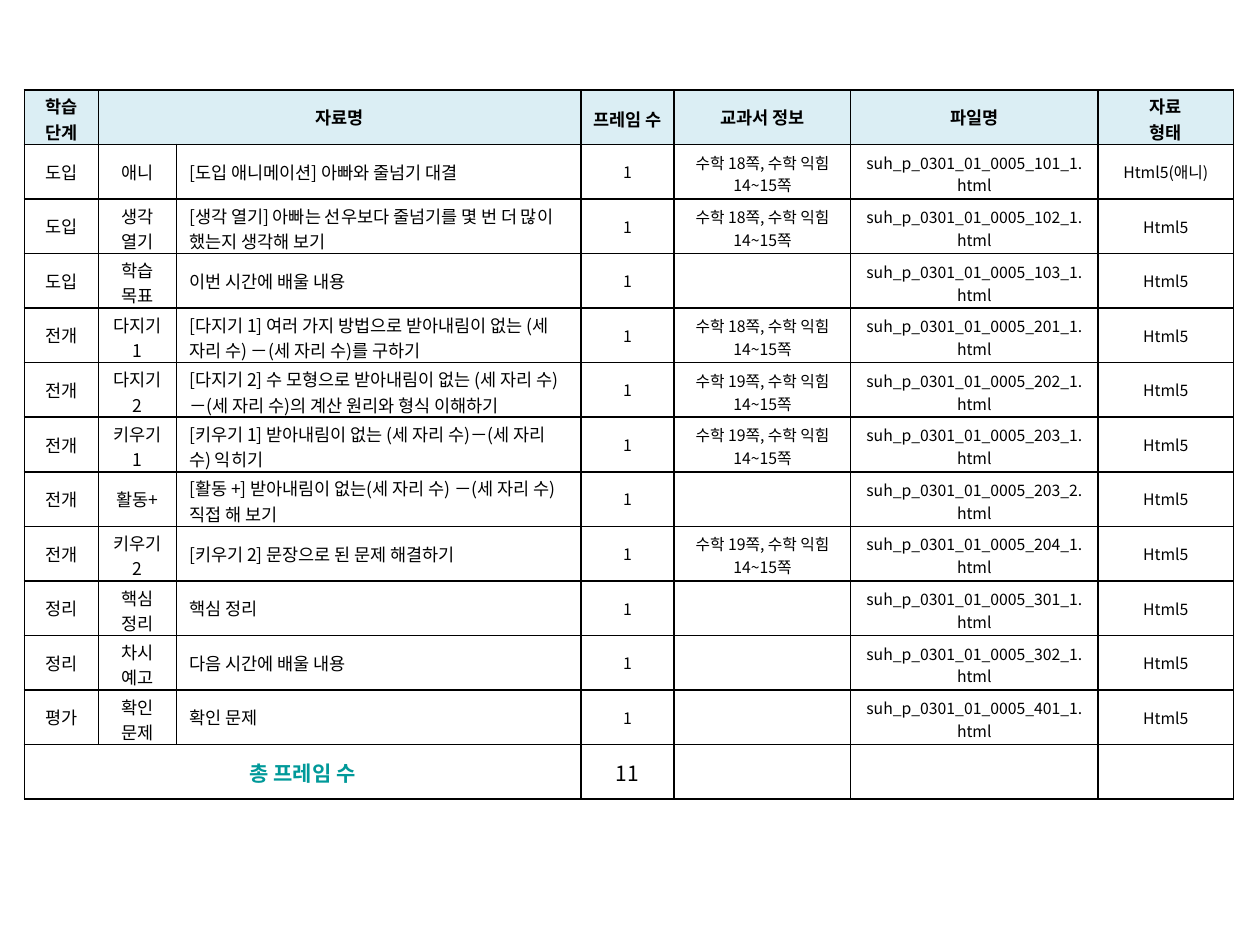
import lxml.etree
import pptx
import pptx.dml.color
import pptx.enum.text
import pptx.oxml
import pptx.oxml.ns
import pptx.util

Cm = pptx.util.Cm
FONT = "Noto Sans CJK KR"
CENTER = pptx.enum.text.PP_ALIGN.CENTER
LEFT = pptx.enum.text.PP_ALIGN.LEFT


def rgb(value):
    return pptx.dml.color.RGBColor.from_string(value)


def write(cell, text, size=10, bold=False, color="000000", align=CENTER, capacity=20):
    cell.vertical_anchor = pptx.enum.text.MSO_ANCHOR.MIDDLE
    if len(text) > capacity or "\n" in text:
        cell.margin_top = Cm(0.08)
        cell.margin_bottom = Cm(0)
    for index, line in enumerate(text.split("\n")):
        frame = cell.text_frame
        paragraph = frame.add_paragraph() if index else frame.paragraphs[0]
        paragraph.alignment = align
        run = paragraph.add_run()
        run.text = line
        run.font.size = pptx.util.Pt(size)
        run.font.bold = bold
        run.font.name = FONT
        run.font.color.rgb = rgb(color)
        run.font._element.set("kern", "0")
        east_asian = lxml.etree.SubElement(run.font._element, pptx.oxml.ns.qn("a:ea"))
        east_asian.set("typeface", FONT)


headings = ["학습 단계", "자료명", "", "프레임 수", "교과서 정보", "파일명", "자료\n형태"]
materials = [
    ("도입", "애니", "[도입 애니메이션] 아빠와 줄넘기 대결", "18", "101_1"),
    ("도입", "생각 열기", "[생각 열기] 아빠는 선우보다 줄넘기를 몇 번 더 많이 했는지 생각해 보기", "18", "102_1"),
    ("도입", "학습 목표", "이번 시간에 배울 내용", "", "103_1"),
    ("전개", "다지기 1", "[다지기 1] 여러 가지 방법으로 받아내림이 없는 (세 자리 수) －(세 자리 수)를 구하기", "18", "201_1"),
    ("전개", "다지기 2", "[다지기 2] 수 모형으로 받아내림이 없는 (세 자리 수) －(세 자리 수)의 계산 원리와 형식 이해하기", "19", "202_1"),
    ("전개", "키우기1", "[키우기 1] 받아내림이 없는 (세 자리 수)－(세 자리 수) 익히기", "19", "203_1"),
    ("전개", "활동+", "[활동 +] 받아내림이 없는(세 자리 수) －(세 자리 수) 직접 해 보기", "", "203_2"),
    ("전개", "키우기2", "[키우기 2] 문장으로 된 문제 해결하기", "19", "204_1"),
    ("정리", "핵심 정리", "핵심 정리", "", "301_1"),
    ("정리", "차시 예고", "다음 시간에 배울 내용", "", "302_1"),
    ("평가", "확인 문제", "확인 문제", "", "401_1"),
]
column_widths = [1.5, 1.57, 8.15, 1.88, 3.56, 4.98, 2.74]
line_capacities = [2, 3, 26, 2, 12, 20, 20]
row_height = 1.1
row_count = len(materials) + 2
total_row = row_count - 1

deck = pptx.Presentation()
deck.slide_width = Cm(25.4)
deck.slide_height = Cm(19.05)
slide = deck.slides.add_slide(deck.slide_layouts[6])
lesson_plan = slide.shapes.add_table(
    row_count, len(column_widths), Cm(0.49), Cm(1.81),
    Cm(sum(column_widths)), Cm(row_height * row_count),
).table
lesson_plan.first_row = False
lesson_plan.horz_banding = False
for column, width in zip(lesson_plan.columns, column_widths):
    column.width = Cm(width)
for row in lesson_plan.rows:
    row.height = Cm(row_height)

for cell in lesson_plan.iter_cells():
    cell.fill.background()
    properties = cell._tc.get_or_add_tcPr()
    for position, side in enumerate(["lnL", "lnR", "lnT", "lnB"]):
        border = pptx.oxml.parse_xml(
            f'<a:{side} {pptx.oxml.ns.nsdecls("a")} w="12700"><a:solidFill>'
            f'<a:srgbClr val="000000"/></a:solidFill></a:{side}>'
        )
        properties.insert(position, border)

lesson_plan.cell(0, 1).merge(lesson_plan.cell(0, 2))
lesson_plan.cell(total_row, 0).merge(lesson_plan.cell(total_row, 2))

for column, heading in enumerate(headings):
    cell = lesson_plan.cell(0, column)
    cell.fill.solid()
    cell.fill.fore_color.rgb = rgb("DBEEF4")
    write(cell, heading, bold=True, capacity=line_capacities[column])

for row, (stage, activity, title, page, file_code) in enumerate(materials, 1):
    textbook = f"수학 {page}쪽, 수학 익힘 14~15쪽" if page else ""
    file_name = f"suh_p_0301_01_0005_{file_code}.html"
    media_type = "Html5(애니)" if activity == "애니" else "Html5"
    values = [stage, activity, title, "1", textbook, file_name, media_type]
    for column, value in enumerate(values):
        write(
            lesson_plan.cell(row, column), value,
            size=10 if column < 3 else 9,
            align=LEFT if column == 2 else CENTER,
            capacity=line_capacities[column],
        )

write(lesson_plan.cell(total_row, 0), "총 프레임 수", size=12, bold=True, color="009999")
write(lesson_plan.cell(total_row, 3), str(len(materials)), size=12)
for column in range(4, len(column_widths)):
    write(lesson_plan.cell(total_row, column), "", size=9)

deck.save("out.pptx")
